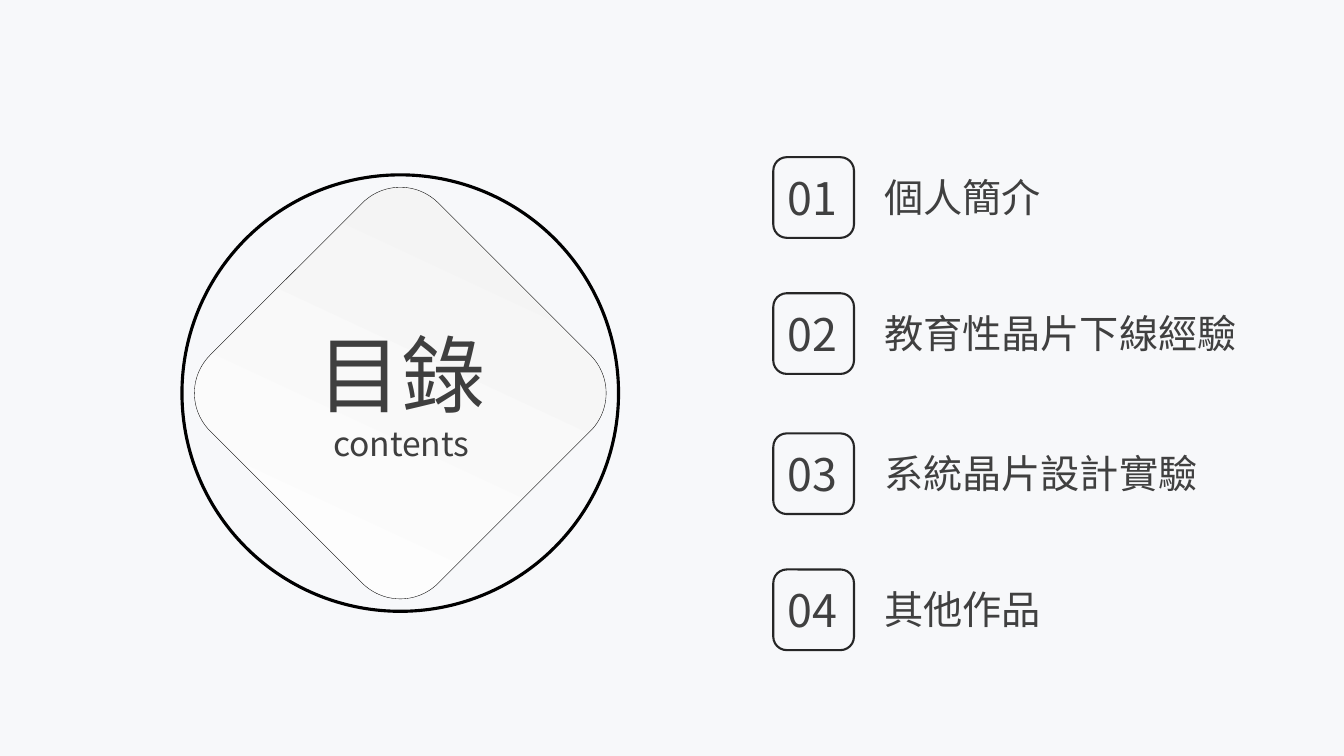
from lxml import etree
from pptx import Presentation
from pptx.dml.color import RGBColor
from pptx.enum import shapes, text
from pptx.oxml import ns
from pptx.util import Inches, Pt

FONT = "Noto Sans CJK SC"
PAPER = RGBColor(0xF7, 0xF8, 0xFA)
WHITE = RGBColor(0xFF, 0xFF, 0xFF)
PALE = RGBColor(0xF2, 0xF2, 0xF2)
BLACK = RGBColor(0, 0, 0)
EDGE = RGBColor(0x26, 0x26, 0x26)
DARK = RGBColor(0x3F, 0x3F, 0x3F)
GREY = RGBColor(0x40, 0x40, 0x40)

TITLE = [("目錄", 60), ("contents", 24)]
# top, label, label width
ROWS = [
    (1.56, "個人簡介", 3.16),
    (2.91, "教育性晶片下線經驗", 3.95),
    (4.3, "系統晶片設計實驗", 4.29),
    (5.65, "其他作品", 3.16),
]
WIDE, HIGH = 13.33, 7.5
MID_X, MID_Y = 3.97, 3.9
LEFT, SIDE = 7.67, 0.8

KIND = shapes.MSO_SHAPE
CENTER = text.PP_ALIGN.CENTER


def add_form(home, kind, box, fill=None, edge=None, width=0):
    form = home.add_shape(kind, *map(Inches, box))
    form.shadow.inherit = False
    if fill is None:
        form.fill.background()
    else:
        form.fill.solid()
        form.fill.fore_color.rgb = fill
    if edge is None:
        form.line.fill.background()
    else:
        form.line.color.rgb = edge
        form.line.width = Pt(width)
    return form


def add_text(home, box, lines, color, align=None, wrap=False):
    frame = home.add_textbox(*map(Inches, box)).text_frame
    frame.word_wrap = wrap
    frame.auto_size = text.MSO_AUTO_SIZE.SHAPE_TO_FIT_TEXT
    frame.text = "\n".join(words for words, _ in lines)
    for para, (_, size) in zip(frame.paragraphs, lines):
        para.alignment = align
        font = para.font
        font.size = Pt(size)
        font.color.rgb = color
        font.name = FONT
        props = para._p.pPr.find(ns.qn("a:defRPr"))
        etree.SubElement(props, ns.qn("a:ea")).set("typeface", FONT)


def centered(side):
    return MID_X - side / 2, MID_Y - side / 2, side, side


def add_emblem(home):
    gem = add_form(home, KIND.ROUNDED_RECTANGLE, centered(3.2), WHITE, BLACK, 0.25)
    gem.rotation = 45
    gem.fill.gradient()
    gem.fill.gradient_angle = 110
    for stop, color in zip(gem.fill.gradient_stops, (WHITE, PALE)):
        stop.color.rgb = color
    add_form(home, KIND.OVAL, centered(4.33), edge=BLACK, width=2.25)
    add_text(home, (3.03, 3.15, 1.9, 1.51), TITLE, DARK, CENTER)


def add_row(home, num, top, label, width):
    badge = home.add_group_shape().shapes
    add_form(badge, KIND.ROUNDED_RECTANGLE, (LEFT, top, SIDE, SIDE), edge=EDGE, width=1.5)
    add_text(badge, (LEFT + 0.03, top + 0.08, 0.72, 0.64), [(f"{num:02}", 32)], GREY, CENTER)
    add_text(home, (LEFT + 1, top + 0.11, width, 0.57), [(label, 28)], GREY, wrap=True)


def main():
    deck = Presentation()
    deck.slide_width, deck.slide_height = Inches(WIDE), Inches(HIGH)
    home = deck.slides.add_slide(deck.slide_layouts[6]).shapes
    add_form(home, KIND.RECTANGLE, (0, 0, WIDE, HIGH), PAPER)
    add_emblem(home)
    for num, row in enumerate(ROWS, 1):
        add_row(home, num, *row)
    deck.save("out.pptx")


if __name__ == "__main__":
    main()
